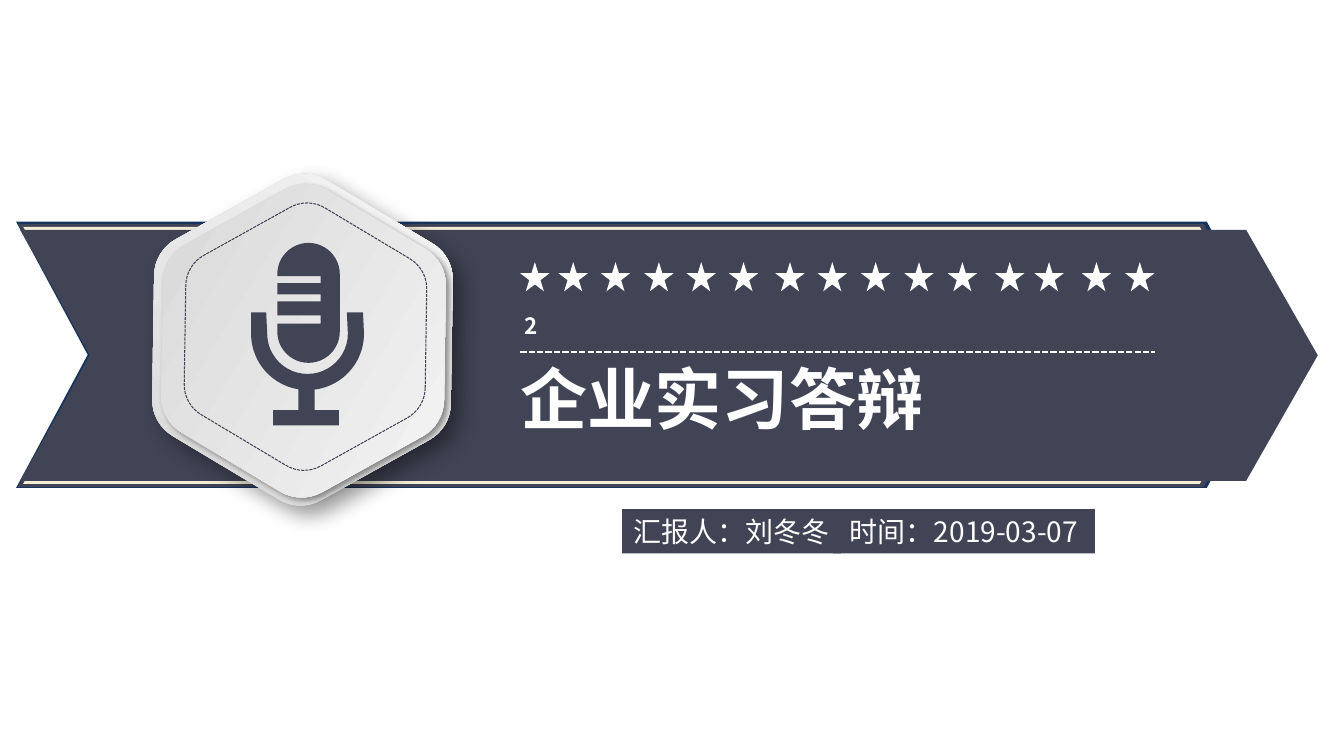
import math

import lxml.etree
import pptx
import pptx.dml.color
import pptx.enum.dml
import pptx.enum.shapes
import pptx.enum.text
import pptx.oxml.ns
import pptx.util

PX = 9144
FONT = "Noto Sans CJK SC"
NAVY = pptx.dml.color.RGBColor(0x14, 0x33, 0x5D)
SLATE = pptx.dml.color.RGBColor(0x41, 0x44, 0x55)
CREAM = pptx.dml.color.RGBColor(0xF2, 0xEE, 0xD8)
SILVER = pptx.dml.color.RGBColor(0xD3, 0xD3, 0xD3)
PALE = pptx.dml.color.RGBColor(0xF9, 0xF9, 0xF9)
WHITE = pptx.dml.color.RGBColor(0xFF, 0xFF, 0xFF)
STAR_LEFTS = (0, 38, 80, 123, 165, 207, 253, 295, 338, 381, 424, 471, 510, 557, 600)


def px(*lengths):
    """Turn px lengths into EMU."""
    return [pptx.util.Emu(round(n * PX)) for n in lengths]


def add_child(parent, tag, **attrs):
    """Append a DrawingML element with the given attributes."""
    return lxml.etree.SubElement(parent, pptx.oxml.ns.qn(tag), attrs)


def paint(sp, color):
    """Give a shape a plain fill with neither line nor shadow."""
    sp.shadow.inherit = False
    sp.fill.solid()
    sp.fill.fore_color.rgb = color
    sp.line.fill.background()


def outline(slide, *contours):
    """Build one freeform from closed contours of px points."""
    loops = [[px(*point) for point in contour] for contour in contours]
    builder = slide.shapes.build_freeform(*loops[0][0])
    builder.add_line_segments(loops[0][1:])
    for loop in loops[1:]:
        builder.move_to(*loop[0])
        builder.add_line_segments(loop[1:])
    return builder.convert_to_shape()


def arc(cx, cy, r, start, end, steps=24):
    """Return points along a circular arc, in degrees."""
    angles = [math.radians(start + (end - start) * i / steps) for i in range(steps + 1)]
    return [(cx + r * math.cos(a), cy + r * math.sin(a)) for a in angles]


def write(sp, text, size, bold, align, anchor, wrap=True):
    """Set and format one line of white text."""
    tf = sp.text_frame
    tf.text = text
    tf.word_wrap = wrap
    tf.auto_size = pptx.enum.text.MSO_AUTO_SIZE.SHAPE_TO_FIT_TEXT
    tf.vertical_anchor = anchor
    p = tf.paragraphs[0]
    p.alignment = align
    r = p.runs[0]
    r.font.size = pptx.util.Pt(size)
    r.font.bold = bold
    r.font.color.rgb = WHITE
    r.font.name = FONT
    add_child(r._r.get_or_add_rPr(), "a:ea", typeface=FONT)


def add_ribbon(slide, x, y, w, h, color, depth=71):
    """Draw a band with a notched left end and a pointed right end."""
    right, middle, bottom = x + w, y + h / 2, y + h
    sp = outline(slide, [(x, y), (right - depth, y), (right, middle),
                         (right - depth, bottom), (x, bottom), (x + depth, middle)])
    paint(sp, color)


def add_hexagon(slide, cx, cy, radius, cut):
    """Draw a tilted hexagon with rounded corners."""
    points = []
    for corner in range(0, 360, 60):
        a = math.radians(corner)
        inset = radius - 2 * cut
        points += arc(cx + inset * math.cos(a), cy + inset * math.sin(a),
                      cut * math.sqrt(3), corner - 30, corner + 30, 8)
    sp = outline(slide, points)
    sp.rotation = 30.9
    sp.shadow.inherit = False
    return sp


def add_plate(slide, cx, cy, radius, angle, blur, distance):
    """Draw a silver hexagon plate with a soft shadow."""
    sp = add_hexagon(slide, cx, cy, radius, 24)
    sp.fill.gradient()
    sp.fill.gradient_angle = angle
    for stop, color, position in zip(sp.fill.gradient_stops, (SILVER, PALE), (0, 1)):
        stop.color.rgb = color
        stop.position = position
    sp.line.fill.background()
    effects = sp._element.spPr.find(pptx.oxml.ns.qn("a:effectLst"))
    shadow = add_child(effects, "a:outerShdw", blurRad=str(pptx.util.Pt(blur)),
                       dist=str(pptx.util.Pt(distance)), dir="2700000",
                       algn="tl", rotWithShape="0")
    black = add_child(shadow, "a:srgbClr", val="000000")
    add_child(black, "a:alpha", val="40000")


def add_microphone(slide, x, y):
    """Draw the microphone from its top left corner."""
    cx = x + 56
    stand = [(x + dx, y + dy) for dx, dy in
             ((63, 145), (63, 166), (87, 166), (87, 181),
              (22, 181), (22, 166), (47, 166), (47, 145))]
    stand += arc(cx, y + 90, 56, 98, 180) + [(x, y + 69), (x + 15, y + 69)]
    stand += arc(cx, y + 90, 40, 180, 0)
    stand += [(x + 95, y + 69), (x + 111, y + 69)] + arc(cx, y + 90, 56, 0, 82)
    capsule = arc(cx + 1, y + 88, 31, 0, 180)
    for top, bottom in ((72, 80), (51, 58), (33, 40)):
        capsule += [(x + 26, y + bottom), (x + 69, y + bottom),
                    (x + 69, y + top), (x + 26, y + top)]
    capsule += arc(cx + 1, y + 31, 31, 180, 360)
    paint(outline(slide, stand, capsule), SLATE)


def add_badge(slide, x, y):
    """Stack the plates, the microphone and the dashed seam."""
    add_plate(slide, x + 150, y + 166, 171, 90, 15, 9)
    add_plate(slide, x + 151, y + 167, 162, 0, 4, 3)
    add_microphone(slide, x + 99, y + 70)
    seam = add_hexagon(slide, x + 153, y + 163, 138, 20)
    seam.fill.background()
    seam.line.color.rgb = SLATE
    seam.line.width = pptx.util.Pt(0.75)
    seam.line.dash_style = pptx.enum.dml.MSO_LINE.SQUARE_DOT


def add_heading(slide, x, y, w):
    """Place the stars, the number, the dashed rule and the title."""
    top = pptx.enum.text.MSO_ANCHOR.TOP
    justify = pptx.enum.text.PP_ALIGN.JUSTIFY
    for left in STAR_LEFTS:
        star = slide.shapes.add_shape(pptx.enum.shapes.MSO_SHAPE.STAR_5_POINT,
                                      *px(x + left, y, 29, 29))
        paint(star, WHITE)

    number = slide.shapes.add_textbox(*px(x + 4, y + 50, w - 4, 27))
    tf = number.text_frame
    tf.margin_left = tf.margin_right = tf.margin_top = tf.margin_bottom = 0
    write(number, "2", 16, True, justify, top)

    rule = slide.shapes.add_connector(pptx.enum.shapes.MSO_CONNECTOR.STRAIGHT,
                                      *px(x, y + 89, x + w, y + 89))
    rule.line.color.rgb = WHITE
    rule.line.width = pptx.util.Pt(1.5)
    rule.line.dash_style = pptx.enum.dml.MSO_LINE.SQUARE_DOT
    add_child(rule._element.spPr, "a:effectLst")

    title = slide.shapes.title
    title.left, title.top, title.width, title.height = px(x - 10, y + 89, w + 26, 91)
    write(title, "企业实习答辩", 48, True, justify, top)
    title.element.getparent().append(title.element)


def add_label(slide, x, y, w, h, text):
    """Draw a slate label with centred text."""
    sp = slide.shapes.add_shape(pptx.enum.shapes.MSO_SHAPE.RECTANGLE, *px(x, y, w, h))
    paint(sp, SLATE)
    write(sp, text, 20, False, pptx.enum.text.PP_ALIGN.CENTER,
          pptx.enum.text.MSO_ANCHOR.MIDDLE, wrap=False)


def main():
    """Build the cover slide and save it."""
    prs = pptx.Presentation()
    prs.slide_width, prs.slide_height = px(1333, 750)
    slide = prs.slides.add_slide(prs.slide_layouts[5])
    add_ribbon(slide, 16, 220, 1252, 264, NAVY)
    add_ribbon(slide, 18, 222, 1247, 261, SLATE)
    add_ribbon(slide, 23, 225, 1238, 255, CREAM)
    add_ribbon(slide, 20, 228, 1287, 249, SLATE)
    add_label(slide, 617, 505, 217, 44, "汇报人：刘冬冬")
    add_label(slide, 826, 505, 260, 44, "时间：2019-03-07")
    add_badge(slide, 150, 171)
    add_heading(slide, 516, 260, 630)
    prs.save("out.pptx")


if __name__ == "__main__":
    main()
